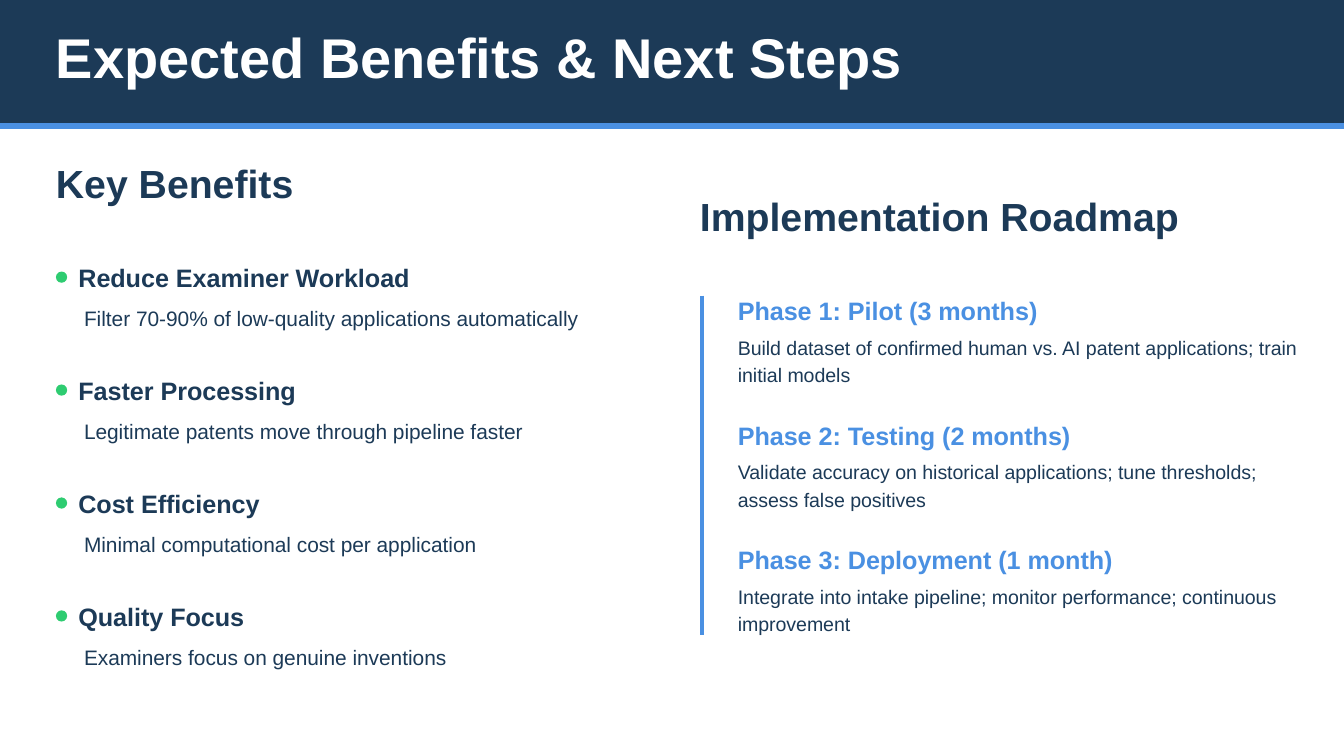
from lxml import etree
from pptx import Presentation
from pptx.dml.color import RGBColor
from pptx.enum import shapes, text
from pptx.oxml.ns import qn
from pptx.util import Pt

NAVY = "1C3A57"
BLUE = "4A90E2"
GREEN = "2ECC71"
WHITE = "FFFFFF"

BENEFITS = [
    ("Reduce Examiner Workload", 182, "Filter 70-90% of low-quality applications automatically"),
    ("Faster Processing", 120, "Legitimate patents move through pipeline faster"),
    ("Cost Efficiency", 100, "Minimal computational cost per application"),
    ("Quality Focus", 91, "Examiners focus on genuine inventions"),
]
PHASES = [
    ("Phase 1: Pilot (3 months)",
     "Build dataset of confirmed human vs. AI patent applications; train initial models"),
    ("Phase 2: Testing (2 months)",
     "Validate accuracy on historical applications; tune thresholds; assess false positives"),
    ("Phase 3: Deployment (1 month)",
     "Integrate into intake pipeline; monitor performance; continuous improvement"),
]


def color(hex_string):
    return RGBColor.from_string(hex_string)


def write(shape, words, size, hex_string, spacing, bold=False, after=0):
    frame = shape.text_frame
    frame.margin_left = frame.margin_right = frame.margin_top = frame.margin_bottom = 0
    frame.word_wrap = True
    frame.auto_size = text.MSO_AUTO_SIZE.NONE
    frame.vertical_anchor = text.MSO_ANCHOR.TOP
    frame.text = words
    paragraph = frame.paragraphs[0]
    paragraph.alignment = text.PP_ALIGN.LEFT
    paragraph.line_spacing = Pt(spacing)
    paragraph.space_before = Pt(0)
    paragraph.space_after = Pt(after)
    paragraph.font.name = "Arial"
    paragraph.font.size = Pt(size)
    paragraph.font.bold = bold
    paragraph.font.color.rgb = color(hex_string)


def add_text(slide, box, words, *style, **options):
    shape = slide.shapes.add_textbox(*map(Pt, box))
    write(shape, words, *style, **options)


def add_filled(slide, kind, box, hex_string):
    shape = slide.shapes.add_shape(kind, *map(Pt, box))
    shape.shadow.inherit = False
    shape.fill.solid()
    shape.fill.fore_color.rgb = color(hex_string)
    shape.line.fill.background()
    return shape


def add_line(slide, ends, width):
    line = slide.shapes.add_connector(shapes.MSO_CONNECTOR.STRAIGHT, *map(Pt, ends))
    line.line.color.rgb = color(BLUE)
    line.line.width = Pt(width)
    etree.SubElement(line.element.spPr, qn("a:effectLst"))
    return line


def add_header(slide):
    bar = add_filled(slide, shapes.MSO_SHAPE.RECTANGLE, (0, 0, 720, 69), NAVY)
    rule = add_line(slide, (0, 67.5, 720, 67.5), 3)
    title = slide.shapes.title
    title.left, title.top, title.width, title.height = map(Pt, (30, 18, 463, 30))
    write(title, "Expected Benefits & Next Steps", 30, WHITE, 30, bold=True)
    for shape in (bar, rule):
        title.element.addprevious(shape.element)


def add_heading(slide, box, words):
    add_text(slide, box, words, 21, NAVY, 23.3, bold=True, after=18)


def add_benefit(slide, top, name, width, detail):
    dot = add_filled(slide, shapes.MSO_SHAPE.ROUNDED_RECTANGLE, (30, top + 5, 6, 6), GREEN)
    dot.adjustments[0] = 0.5
    add_text(slide, (42, top, width, 16), name, 13.5, NAVY, 16.2, bold=True)
    add_text(slide, (45, top + 21, 306, 16), detail, 11.2, NAVY, 15.8)


def add_phase(slide, top, name, detail):
    add_text(slide, (395.25, top, 301, 16), name, 13.5, BLUE, 16.2, bold=True, after=3)
    add_text(slide, (395.25, top + 19.4, 301, 29.5), detail, 10.5, NAVY, 14.7)


def main():
    presentation = Presentation()
    presentation.slide_width, presentation.slide_height = Pt(720), Pt(405)
    slide = presentation.slides.add_slide(presentation.slide_layouts[5])
    add_header(slide)

    add_heading(slide, (30, 87, 161, 23), "Key Benefits")
    for index, benefit in enumerate(BENEFITS):
        add_benefit(slide, 140.5 + 60.5 * index, *benefit)

    add_heading(slide, (375, 105, 262, 23), "Implementation Roadmap")
    add_line(slide, (376, 158.4, 376, 340), 2.25)
    for index, phase in enumerate(PHASES):
        add_phase(slide, 158.4 + 66.6 * index, *phase)

    presentation.save("out.pptx")


if __name__ == "__main__":
    main()
